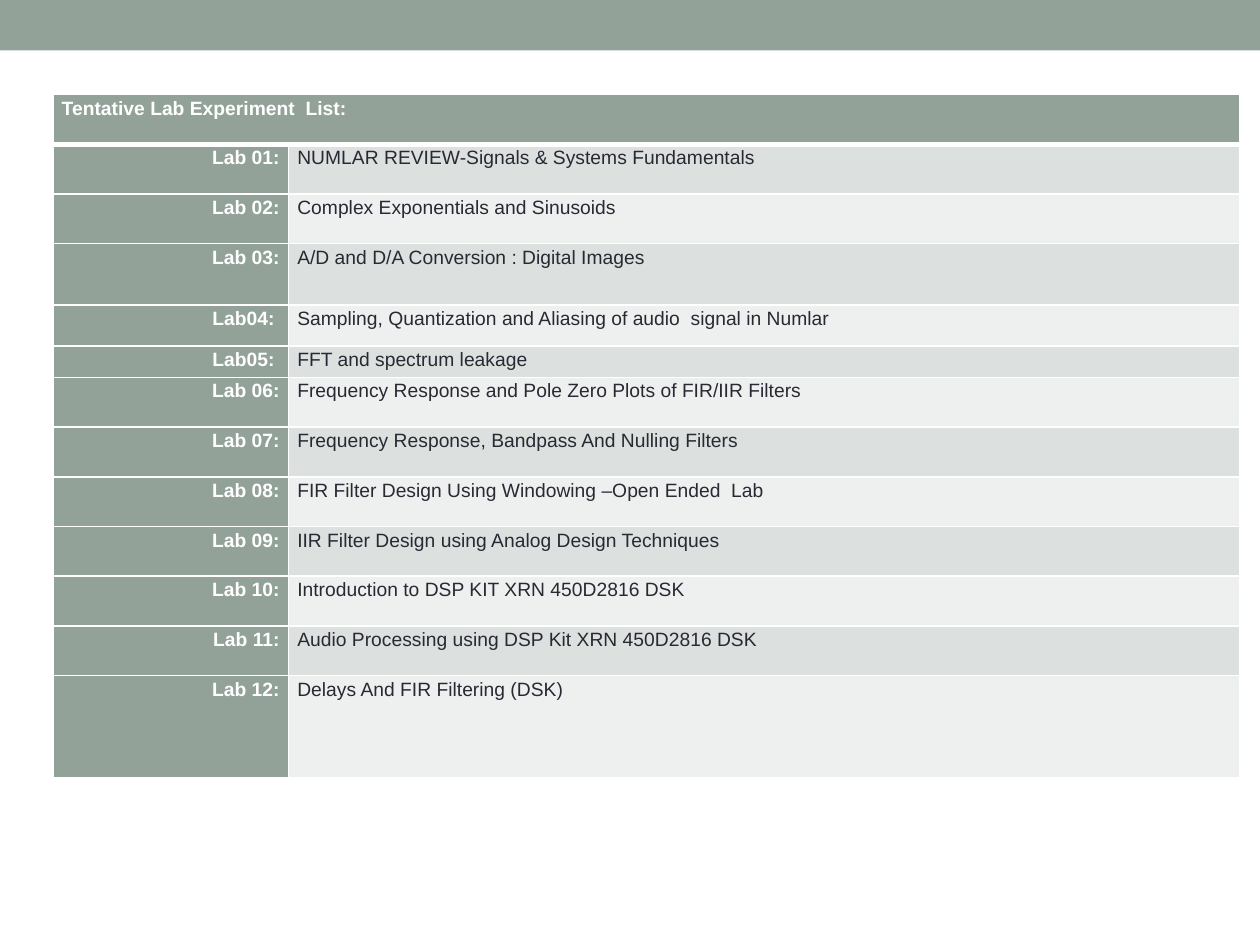
import pptx
import pptx.dml.color
import pptx.enum.shapes
import pptx.enum.text
import pptx.oxml.ns
import pptx.util
import lxml.etree

theme = {
    "sage": "93A299", "white": "FFFFFF", "ink": "292934",
    "odd": "DCE0DE", "even": "EEF0EF",
    "font": "Arial", "size": 11, "thin": 1, "thick": 3,
}
align = pptx.enum.text.PP_ALIGN
qn = pptx.oxml.ns.qn


def write(cell, text, color="ink", bold=False, side=align.LEFT, fill="sage", right=0.07):
    cell.margin_left = pptx.util.Inches(0.07)
    cell.margin_right = pptx.util.Inches(right)
    cell.margin_top = cell.margin_bottom = 0
    cell.fill.solid()
    cell.fill.fore_color.rgb = pptx.dml.color.RGBColor.from_string(theme[fill])
    para = cell.text_frame.paragraphs[0]
    para.alignment = side
    para.line_spacing = 1.15
    run = para.add_run()
    run.text = text
    run.font.name = theme["font"]
    run.font.size = pptx.util.Pt(theme["size"])
    run.font.bold = bold
    run.font.color.rgb = pptx.dml.color.RGBColor.from_string(theme[color])


def edge(cell, row):
    props = cell._tc.get_or_add_tcPr()
    for name in ("lnL", "lnR", "lnT", "lnB"):
        thick = (row, name) in ((0, "lnB"), (1, "lnT"))
        width = pptx.util.Pt(theme["thick" if thick else "thin"])
        line = lxml.etree.SubElement(props, qn("a:" + name), w=str(int(width)))
        fill = lxml.etree.SubElement(line, qn("a:solidFill"))
        lxml.etree.SubElement(fill, qn("a:srgbClr"), val=theme["white"])


labs = [
    ("Lab 01:", "NUMLAR REVIEW-Signals & Systems Fundamentals", 1),
    ("Lab 02:", "Complex Exponentials and Sinusoids", 1),
    ("Lab 03:", "A/D and D/A Conversion : Digital Images", 1.23),
    ("Lab04:", "Sampling, Quantization and Aliasing of audio  signal in Numlar", 0.83),
    ("Lab05:", "FFT and spectrum leakage", 0.63),
    ("Lab 06:", "Frequency Response and Pole Zero Plots of FIR/IIR Filters", 1),
    ("Lab 07:", "Frequency Response, Bandpass And Nulling Filters", 1),
    ("Lab 08:", "FIR Filter Design Using Windowing –Open Ended  Lab", 1),
    ("Lab 09:", "IIR Filter Design using Analog Design Techniques", 1),
    ("Lab 10:", "Introduction to DSP KIT XRN 450D2816 DSK", 1),
    ("Lab 11:", "Audio Processing using DSP Kit XRN 450D2816 DSK", 1),
    ("Lab 12:", "Delays And FIR Filtering (DSK)", 2.05),
]

deck = pptx.Presentation()
deck.slide_width = pptx.util.Inches(10)
deck.slide_height = pptx.util.Inches(7.5)
wide, high = deck.slide_width, deck.slide_height
slide = deck.slides.add_slide(deck.slide_layouts[6])

band = slide.shapes.add_shape(
    pptx.enum.shapes.MSO_SHAPE.RECTANGLE, 0, 0, wide, int(high * 0.4 / 7.5))
band.shadow.inherit = False
band.fill.solid()
band.fill.fore_color.rgb = pptx.dml.color.RGBColor.from_string(theme["sage"])
band.line.fill.background()

unit = high / 19
spans = [1] + [lab[2] for lab in labs]
cols = [0.187, 0.755]
grid = slide.shapes.add_table(
    len(spans), len(cols), int(wide * 0.042), int(high * 0.1),
    int(wide * sum(cols)), int(unit * sum(spans))).table
for col, share in zip(grid.columns, cols):
    col.width = int(wide * share)
for row, span in enumerate(spans):
    grid.rows[row].height = int(unit * span)
    for cell in grid.rows[row].cells:
        edge(cell, row)

head = grid.cell(0, 0)
head.merge(grid.cell(0, 1))
write(head, "Tentative Lab Experiment  List:", color="white", bold=True)
for row, (label, topic, span) in enumerate(labs, 1):
    write(grid.cell(row, 0), label, color="white", bold=True, side=align.RIGHT,
          right=0.07 if " " in label else 0.11)
    write(grid.cell(row, 1), topic, fill="odd" if row % 2 else "even")

deck.save("out.pptx")
